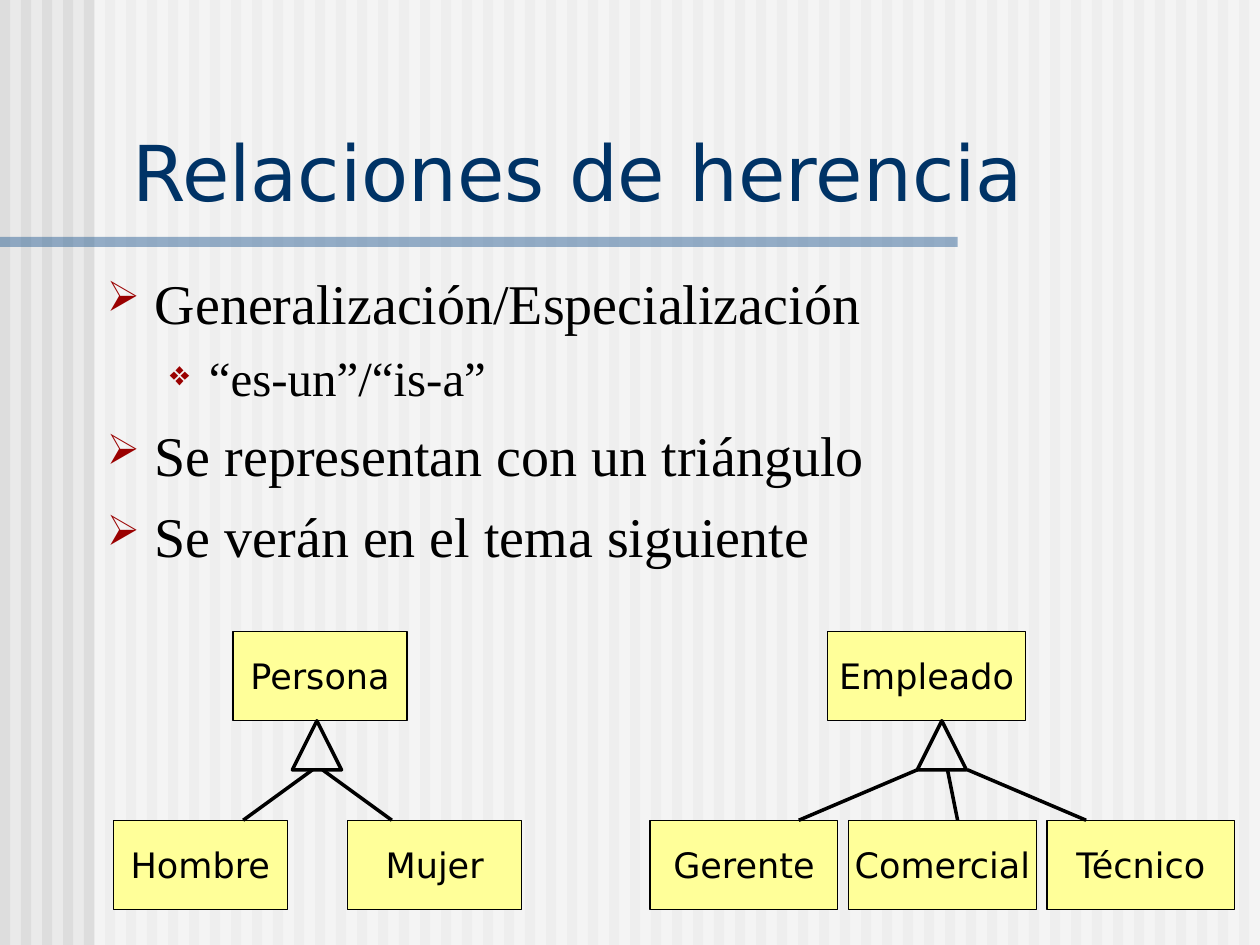
from dataclasses import dataclass
from typing import Optional

import lxml.etree
import pptx
import pptx.dml.color
import pptx.enum.shapes
import pptx.enum.text
import pptx.oxml.ns
import pptx.util

Inches = pptx.util.Inches
Pt = pptx.util.Pt
RGBColor = pptx.dml.color.RGBColor
Kind = pptx.enum.shapes.MSO_SHAPE
Align = pptx.enum.text.PP_ALIGN
Anchor = pptx.enum.text.MSO_ANCHOR
qn = pptx.oxml.ns.qn

PAPER = RGBColor(0xEA, 0xEA, 0xEA)
STRIPE = RGBColor(0xDD, 0xDD, 0xDD)
WHITE = RGBColor(0xFF, 0xFF, 0xFF)
BLUE = RGBColor(0x33, 0x66, 0x99)
NAVY = RGBColor(0x00, 0x33, 0x66)
RED = RGBColor(0x9A, 0x00, 0x00)
YELLOW = RGBColor(0xFF, 0xFF, 0x99)
BLACK = RGBColor(0x00, 0x00, 0x00)

SANS = "DejaVu Sans"
SERIF = "Times New Roman"
ROOT_TOP, LEAF_TOP, BOX_HIGH = 5.01, 6.51, 0.71
TIP_TOP, TIP_SIZE = 5.72, 0.39


@dataclass
class Level:
    mark: str
    size: int
    left: float
    hang: float
    before: int
    ratio: int


@dataclass
class Link:
    start: float
    end: float


@dataclass
class Tree:
    root: str
    left: float
    width: float
    tip: float
    leaves: list[str]
    first: float
    step: float
    wide: float
    links: list[Link]


MAIN = Level("➢", 32, 0.38, 0.38, 8, 75)
SUB = Level("❖", 28, 0.81, 0.31, 7, 70)
POINTS = [
    ("Generalización/Especialización", MAIN),
    ("“es-un”/“is-a”", SUB),
    ("Se representan con un triángulo", MAIN),
    ("Se verán en el tema siguiente", MAIN),
]
TREES = [
    Tree("Persona", 1.85, 1.38, 2.32, ["Hombre", "Mujer"], 0.9, 1.86, 1.38,
         [Link(2.56, 3.11), Link(2.48, 1.93)]),
    Tree("Empleado", 6.57, 1.57, 7.28, ["Gerente", "Comercial", "Técnico"],
         5.16, 1.575, 1.49,
         [Link(7.68, 8.62), Link(7.28, 6.34), Link(7.52, 7.6)]),
]


def write(para, text: str, *, size: int, font: str, color: RGBColor,
          align=Align.LEFT) -> None:
    para.alignment = align
    run = para.add_run()
    run.text = text
    run.font.size = Pt(size)
    run.font.name = font
    run.font.color.rgb = color


def shape(slide, kind, left: float, top: float, width: float, high: float, *,
          fill: Optional[RGBColor] = None, alpha: int = 100, line: float = 0):
    item = slide.shapes.add_shape(
        kind, Inches(left), Inches(top), Inches(width), Inches(high))
    item.shadow.inherit = False
    if fill is None:
        item.fill.background()
    else:
        item.fill.solid()
        item.fill.fore_color.rgb = fill
    if alpha < 100:
        tint = item.fill._xPr.find(".//" + qn("a:srgbClr"))
        lxml.etree.SubElement(tint, qn("a:alpha"), val=str(alpha * 1000))
    if line:
        item.line.color.rgb = BLACK
        item.line.width = Pt(line)
    else:
        item.line.fill.background()
    return item


def box(slide, text: str, left: float, top: float, width: float) -> None:
    item = shape(slide, Kind.RECTANGLE, left, top, width, BOX_HIGH,
                 fill=YELLOW, line=0.75)
    frame = item.text_frame
    frame.word_wrap = False
    frame.vertical_anchor = Anchor.MIDDLE
    write(frame.paragraphs[0], text, size=20, font=SANS, color=BLACK,
          align=Align.CENTER)


def join(slide, link: Link) -> None:
    line = slide.shapes.add_connector(
        pptx.enum.shapes.MSO_CONNECTOR.STRAIGHT,
        Inches(link.start), Inches(TIP_TOP + TIP_SIZE),
        Inches(link.end), Inches(LEAF_TOP))
    line.line.color.rgb = BLACK
    line.line.width = Pt(2)
    lxml.etree.SubElement(line._element.spPr, qn("a:effectLst"))


def draw(slide, tree: Tree) -> None:
    box(slide, tree.root, tree.left, ROOT_TOP, tree.width)
    for col, leaf in enumerate(tree.leaves):
        box(slide, leaf, tree.first + col * tree.step, LEAF_TOP, tree.wide)
    shape(slide, Kind.ISOSCELES_TRIANGLE, tree.tip, TIP_TOP, TIP_SIZE,
          TIP_SIZE, line=2)
    for link in tree.links:
        join(slide, link)


def area(slide, left: float, top: float, width: float, high: float):
    frame = slide.shapes.add_textbox(
        Inches(left), Inches(top), Inches(width), Inches(high)).text_frame
    frame.word_wrap = True
    return frame


def bullet(para, level: Level) -> None:
    para.space_before = Pt(level.before)
    props = para._p.get_or_add_pPr()
    props.set("marL", str(Inches(level.left)))
    props.set("indent", str(-Inches(level.hang)))
    tint = lxml.etree.SubElement(props, qn("a:buClr"))
    lxml.etree.SubElement(tint, qn("a:srgbClr"), val=str(RED))
    lxml.etree.SubElement(props, qn("a:buSzPct"), val=str(level.ratio * 1000))
    lxml.etree.SubElement(props, qn("a:buChar"), char=level.mark)


def back(slide) -> None:
    slide.background.fill.solid()
    slide.background.fill.fore_color.rgb = PAPER
    for col in range(60):
        shape(slide, Kind.RECTANGLE, col / 6, 0, 0.08, 7.5, fill=STRIPE)
    shape(slide, Kind.RECTANGLE, 0.75, 0, 9.25, 7.5, fill=WHITE, alpha=50)
    shape(slide, Kind.RECTANGLE, 0, 1.88, 7.6, 0.08, fill=BLUE, alpha=50)


def main() -> None:
    deck = pptx.Presentation()
    deck.slide_width, deck.slide_height = Inches(10), Inches(7.5)
    slide = deck.slides.add_slide(deck.slide_layouts[6])
    back(slide)

    title = area(slide, 0.95, 0.94, 8.93, 0.83)
    title.vertical_anchor = Anchor.BOTTOM
    write(title.paragraphs[0], "Relaciones de herencia", size=44, font=SANS,
          color=NAVY)

    body = area(slide, 0.75, 2.08, 9.12, 4.58)
    for row, (text, level) in enumerate(POINTS):
        para = body.add_paragraph() if row else body.paragraphs[0]
        bullet(para, level)
        write(para, text, size=level.size, font=SERIF, color=BLACK)

    for tree in TREES:
        draw(slide, tree)
    deck.save("out.pptx")


if __name__ == "__main__":
    main()
